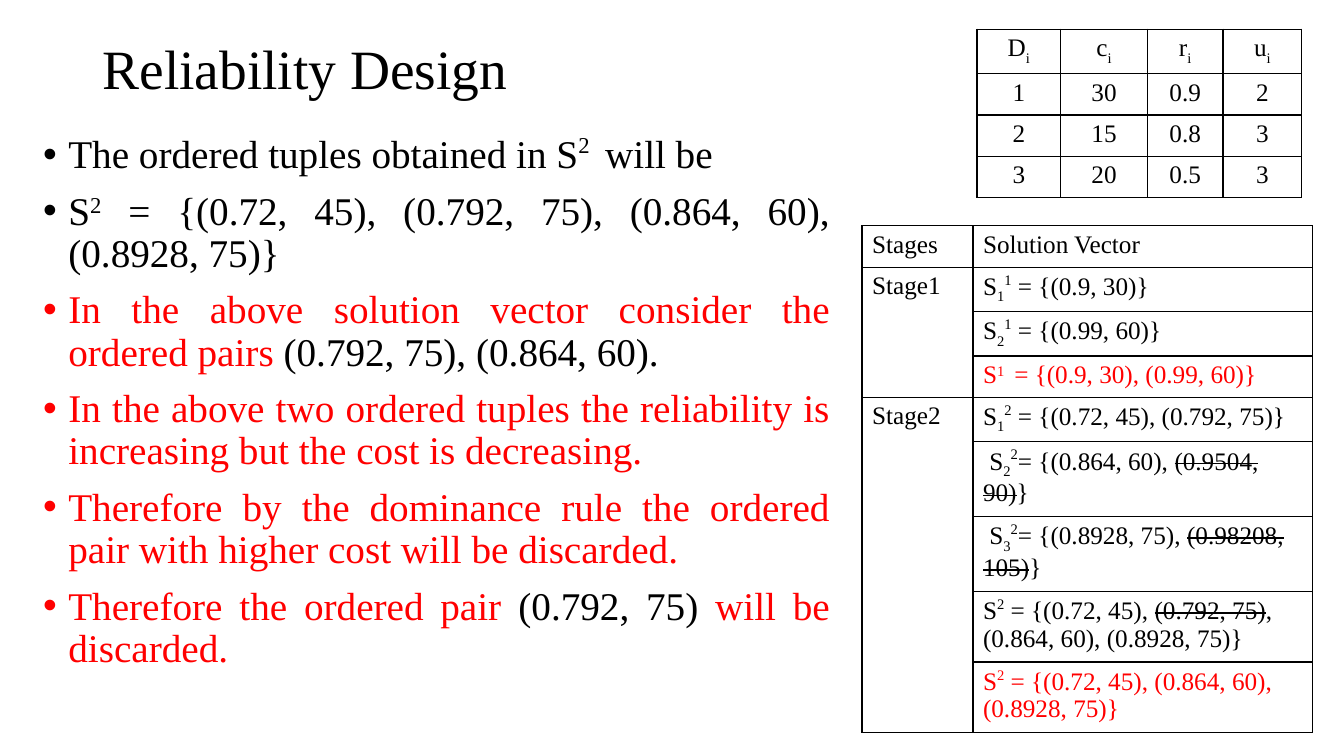
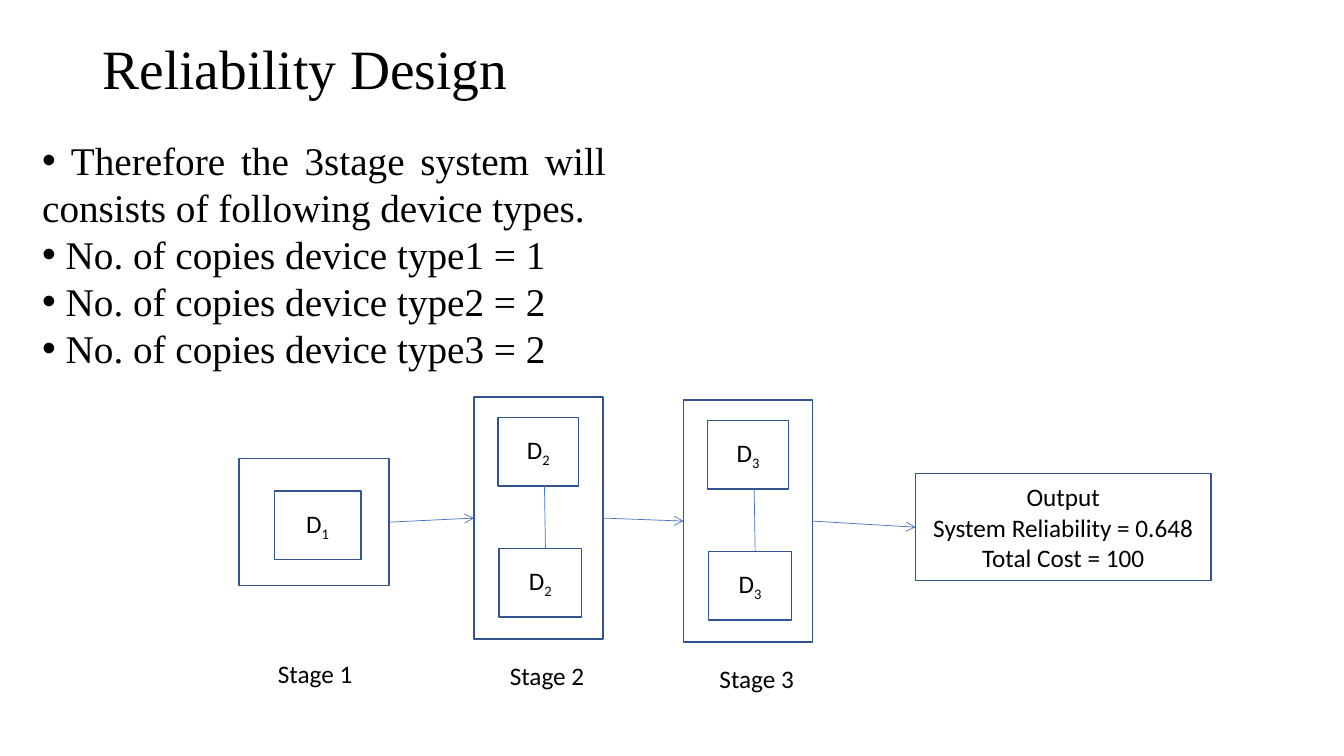
import pptx
import pptx.util
import pptx.dml.color
import pptx.enum.shapes
import pptx.enum.text
import pptx.oxml.ns
import lxml.etree

PX = 9144  # EMU per px, 100 px to the inch
SERIF, SANS = "Times New Roman", "Calibri"
BLACK, WHITE, RED = "000000", "FFFFFF", "FF0000"
OUTLINE, ARROW = "325491", "4472C4"
ALIGN = pptx.enum.text.PP_ALIGN
ANCHOR = pptx.enum.text.MSO_ANCHOR
SHAPE = pptx.enum.shapes.MSO_SHAPE


def emu(*lengths):
    return [pptx.util.Emu(n * PX) for n in lengths]


def color(value):
    return pptx.dml.color.RGBColor.from_string(value)


def child(parent, tag, **attrs):
    return lxml.etree.SubElement(parent, pptx.oxml.ns.qn(tag), attrs)


# Marked pieces of text: (text, format)
def sub(text, **fmt):
    return text, dict(fmt, baseline=-25)


def sup(text, rise=40, **fmt):
    return text, dict(fmt, baseline=rise)


def strike(text):
    return text, {"strike": True}


def black(text):
    return text, {"ink": BLACK}


def write(p, pieces, font=SERIF, size=18, ink=BLACK, align=ALIGN.LEFT,
          leading=1.0, before=0, bullet=False, hang=0):
    """Fill a paragraph from a string or a list of strings and marked pieces."""
    p.alignment, p.line_spacing = align, leading
    p.space_before = pptx.util.Pt(before)
    if bullet:
        pPr = p._p.get_or_add_pPr()
        pPr.set("marL", str(hang * PX))
        pPr.set("indent", str(-hang * PX))
        child(pPr, "a:buFont", typeface="Arial")
        child(pPr, "a:buChar", char="•")
    for piece in [pieces] if isinstance(pieces, str) else pieces:
        text, mark = (piece, {}) if isinstance(piece, str) else piece
        r = p.add_run()
        r.text = text
        r.font.name, r.font.size = font, pptx.util.Pt(size)
        r.font.color.rgb = color(mark.get("ink", ink))
        rPr = r.font._element
        if "baseline" in mark:
            rPr.set("baseline", str(mark["baseline"] * 1000))
        if mark.get("strike"):
            rPr.set("strike", "sngStrike")


class Deck:
    """Holds the presentation, its style and the current slide."""

    def __init__(self):
        self.prs = pptx.Presentation()
        self.prs.slide_width, self.prs.slide_height = emu(1333, 750)

    def slide(self, title):
        self.s = self.prs.slides.add_slide(self.prs.slide_layouts[6])
        self.text([92, 40, 592, 61], [title], anchor=ANCHOR.MIDDLE, size=39.6, leading=0.9)

    def fill_frame(self, tf, paragraphs, anchor, **fmt):
        tf.word_wrap, tf.vertical_anchor = True, anchor
        for i, pieces in enumerate(paragraphs):
            p = tf.add_paragraph() if i else tf.paragraphs[0]
            write(p, pieces, **fmt)

    def text(self, box, paragraphs, anchor=ANCHOR.TOP, **fmt):
        sp = self.s.shapes.add_textbox(*emu(*box))
        self.fill_frame(sp.text_frame, paragraphs, anchor, **fmt)

    def box(self, box, paragraphs=()):
        sp = self.s.shapes.add_shape(SHAPE.RECTANGLE, *emu(*box))
        sp.shadow.inherit = False
        sp.fill.solid()
        sp.fill.fore_color.rgb = color(WHITE)
        sp.line.color.rgb = color(OUTLINE)
        sp.line.width = pptx.util.Pt(1)
        self.fill_frame(sp.text_frame, paragraphs, ANCHOR.MIDDLE, font=SANS, align=ALIGN.CENTER)
        return sp

    def line(self, x1=0, y1=0, x2=0, y2=0):
        straight = pptx.enum.shapes.MSO_CONNECTOR.STRAIGHT
        cn = self.s.shapes.add_connector(straight, *emu(x1, y1, x2, y2))
        cn.line.color.rgb = color(ARROW)
        cn.line.width = pptx.util.Pt(0.5)
        child(cn._element.spPr, "a:effectLst")
        return cn

    def arrow(self, source, target):
        cn = self.line()
        cn.begin_connect(source, 3)
        cn.end_connect(target, 1)
        child(cn.line._get_or_add_ln(), "a:tailEnd", type="arrow")

    def border(self, cell):
        tcPr = cell._tc.get_or_add_tcPr()
        for side in ("a:lnL", "a:lnR", "a:lnT", "a:lnB"):
            ln = child(tcPr, side, w="12700")
            child(child(ln, "a:solidFill"), "a:srgbClr", val=BLACK)

    def table(self, left, top, widths, rows, row_height=41, merges=(), **fmt):
        frame = self.s.shapes.add_table(len(rows), len(widths), *emu(
            left, top, sum(widths), row_height * len(rows)))
        table = frame.table
        table.first_row = table.horz_banding = False
        for column, width in zip(table.columns, emu(*widths)):
            column.width = width
        for i, row in enumerate(rows):
            for j, pieces in enumerate(row):
                cell = table.cell(i, j)
                self.border(cell)
                cell.fill.background()
                if pieces:
                    ink = RED if (i, j) in fmt.get("red", ()) else BLACK
                    write(cell.text_frame.paragraphs[0], pieces, ink=ink,
                          align=fmt.get("align", ALIGN.LEFT))
        for first, last in merges:
            table.cell(first, 0).merge(table.cell(last, 0))

    def stage(self, number, x, y):
        """Outer box with two joined copies of a device and a label below."""
        outer = self.box([x, y, 128, 240])
        device = [["D", sub(str(number))]]
        self.box([x + 24, y + 20, 80, 68], device)
        self.box([x + 25, y + 150, 82, 68], device)
        self.line(x + 70, y + 88, x + 71, y + 150)
        self.label(number, x - 7, y + 256)
        return outer

    def label(self, number, x, y):
        self.text([x, y, 159, 40], [f"Stage {number}"], font=SANS, align=ALIGN.CENTER)


def dominance_slide(deck):
    deck.slide("Reliability Design")

    # Device data
    header = [[name, sub("i")] for name in ("D", "c", "r", "u")]
    devices = [["1", "30", "0.9", "2"], ["2", "15", "0.8", "3"], ["3", "20", "0.5", "3"]]
    deck.table(969, 29, [83, 86, 75, 78], [header] + devices, align=ALIGN.CENTER)

    # Solution vectors by stage
    deck.table(855, 224, [110, 337], [
        ["Stages", "Solution Vector"],
        ["Stage1", ["S", sub("1"), sup("1"), " = {(0.9, 30)}"]],
        [None, ["S", sub("2"), sup("1"), " = {(0.99, 60)}"]],
        [None, ["S", sup("1 ", 30), " = {(0.9, 30), (0.99, 60)}"]],
        ["Stage2", ["S", sub("1"), sup("2"), " = {(0.72, 45), (0.792, 75)}"]],
        [None, [" S", sub("2"), sup("2"), "= {(0.864, 60), ", strike("(0.9504, 90)"), "}"]],
        [None, [" S", sub("3"), sup("2"), "= {(0.8928, 75), ", strike("(0.98208, 105)"), "}"]],
        [None, ["S", sup("2"), " = {(0.72, 45), ", strike("(0.792, 75)"),
                ", (0.864, 60), (0.8928, 75)}"]],
        [None, ["S", sup("2"), " = {(0.72, 45), (0.864, 60), (0.8928, 75)}"]],
    ], merges=[(1, 3), (4, 8)], red=[(3, 1), (8, 1)])

    # Explanation
    deck.text([33, 129, 800, 581], [
        [black("The ordered tuples obtained in S"), sup("2 ", ink=BLACK), black(" will be")],
        [black("S"), sup("2", 30, ink=BLACK),
         black(" = {(0.72, 45), (0.792, 75), (0.864, 60), (0.8928, 75)}")],
        ["In the above solution vector consider the ordered pairs ",
         black("(0.792, 75), (0.864, 60).")],
        "In the above two ordered tuples the reliability is increasing but the cost is decreasing.",
        "Therefore by the dominance rule the ordered pair with higher cost will be discarded.",
        ["Therefore the ordered pair ", black("(0.792, 75)"), " will be discarded."],
    ], size=28, ink=RED, align=ALIGN.JUSTIFY, leading=0.9, before=10, bullet=True, hang=25)


def system_slide(deck):
    deck.slide("Reliability Design")

    # Chosen copies
    copies = [f" No. of copies device type{i} = {n}" for i, n in ((1, 1), (2, 2), (3, 2))]
    deck.text([32, 130, 579, 246], [
        " Therefore the 3stage system will consists of following device types.", *copies,
    ], size=28, align=ALIGN.JUSTIFY, bullet=True)

    # Stages and output
    first = deck.box([237, 455, 149, 126])
    deck.box([272, 487, 86, 68], [["D", sub("1")]])
    deck.label(1, 233, 648)
    second = deck.stage(2, 470, 394)
    third = deck.stage(3, 678, 397)
    output = deck.box([908, 470, 293, 106], [
        "Output", "System Reliability = 0.648", "Total Cost = 100"])

    # Flow
    flow = [first, second, third, output]
    for source, target in zip(flow, flow[1:]):
        deck.arrow(source, target)


def main():
    deck = Deck()
    dominance_slide(deck)
    system_slide(deck)
    deck.prs.save("out.pptx")


if __name__ == "__main__":
    main()
